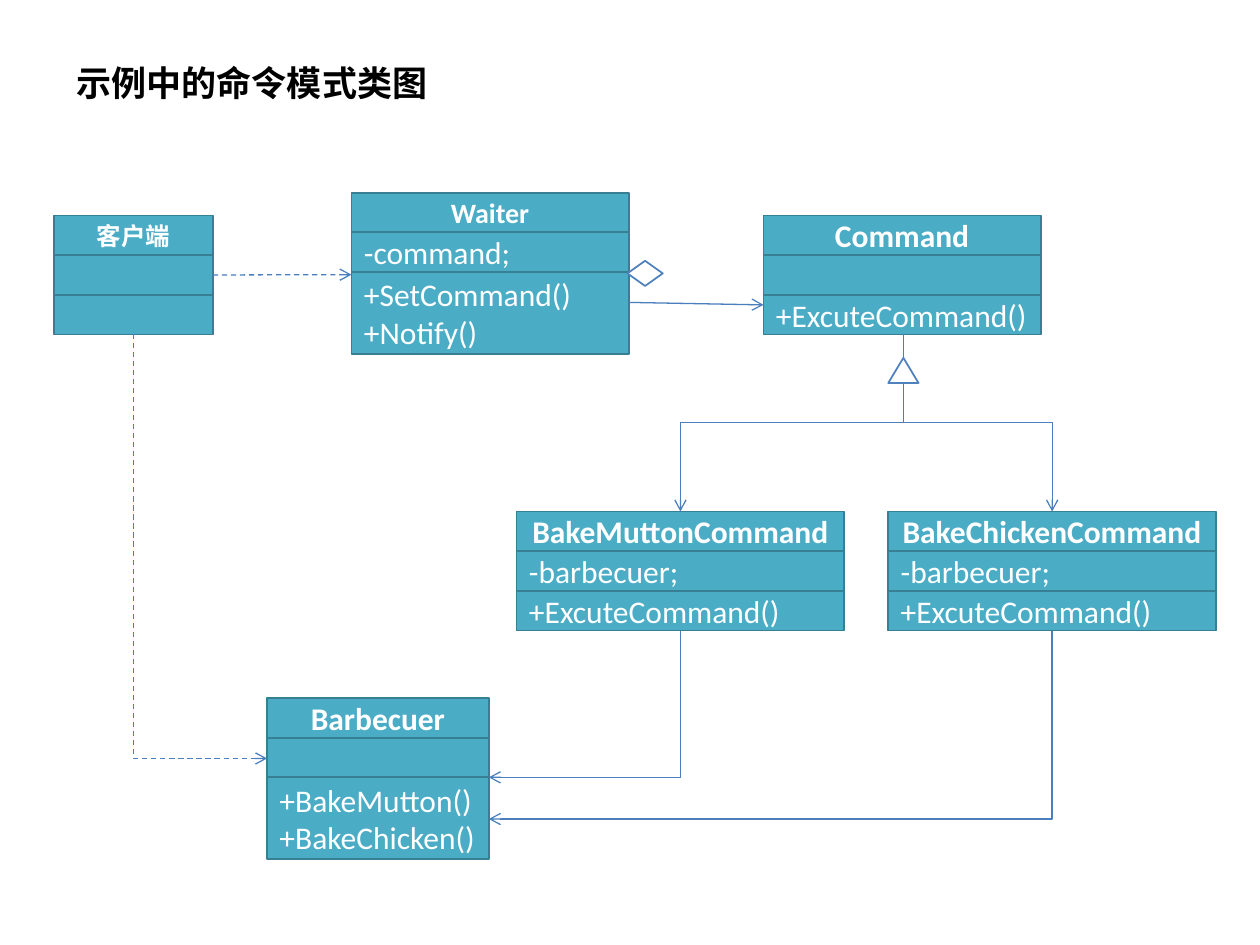
from lxml import etree
from pptx import Presentation
from pptx.dml.color import RGBColor
from pptx.enum.dml import MSO_LINE
from pptx.enum.shapes import MSO_CONNECTOR, MSO_SHAPE
from pptx.enum.text import MSO_ANCHOR, PP_ALIGN
from pptx.oxml.ns import qn
from pptx.util import Inches, Pt

ROW = 0.315  # height of a one-line compartment
TWO_LINES = 0.65
LINK = "4B7EBC"


def color(hex_string):
    return RGBColor.from_string(hex_string)


def paint(shape, fill, line):
    shape.shadow.inherit = False
    shape.fill.solid()
    shape.fill.fore_color.rgb = color(fill)
    shape.line.color.rgb = color(line)
    shape.line.width = Pt(1)


def add_title(slide, left, top, width, height, title):
    box = slide.shapes.add_textbox(Inches(left), Inches(top), Inches(width), Inches(height))
    box.text_frame.word_wrap = False
    box.text_frame.text = title
    font = box.text_frame.paragraphs[0].runs[0].font
    font.name = "Noto Sans CJK SC"
    font.size = Pt(20)
    font.bold = True
    font.color.rgb = color("000000")
    east_asian = etree.SubElement(font._element, qn("a:ea"))
    east_asian.set("typeface", "Noto Sans CJK SC")


def add_class(slide, left, top, width, name, field="", methods="", name_size=18):
    """Draw a class as three stacked compartments and return them."""
    group = slide.shapes.add_group_shape()
    methods_height = TWO_LINES if "\n" in methods else ROW
    compartments = []
    for text, height in ((name, ROW), (field, ROW), (methods, methods_height)):
        is_name = not compartments
        cell = group.shapes.add_shape(
            MSO_SHAPE.RECTANGLE, Inches(left), Inches(top), Inches(width), Inches(height))
        paint(cell, "4BACC6", "377F92")
        frame = cell.text_frame
        frame.word_wrap = True
        frame.vertical_anchor = MSO_ANCHOR.MIDDLE
        frame.text = text
        for paragraph in frame.paragraphs:
            paragraph.alignment = PP_ALIGN.CENTER if is_name else PP_ALIGN.LEFT
            for run in paragraph.runs:
                run.font.name = "Calibri"
                run.font.size = Pt(name_size if is_name else 18)
                run.font.bold = is_name
                run.font.color.rgb = color("FFFFFF")
        compartments.append(cell)
        top += height
    return compartments


def style_arrow(connector, dashed):
    connector.line.color.rgb = color(LINK)
    connector.line.width = Pt(0.75)
    if dashed:
        connector.line.dash_style = MSO_LINE.DASH
    properties = connector._element.spPr
    tail = etree.SubElement(properties.find(qn("a:ln")), qn("a:tailEnd"))
    tail.set("type", "arrow")
    etree.SubElement(properties, qn("a:effectLst"))


def add_arrow(slide, start, end, dashed=False):
    arrow = slide.shapes.add_connector(
        MSO_CONNECTOR.STRAIGHT, *(Inches(v) for v in (*start, *end)))
    style_arrow(arrow, dashed)
    return arrow


def add_elbow(slide, start, end, bends, dashed=False):
    """Draw an arrow that leaves downwards, with one or two bends."""
    (x1, y1), (x2, y2) = start, end
    center_x, center_y = (x1 + x2) / 2, (y1 + y2) / 2
    half_run, half_drop = abs(x2 - x1) / 2, (y2 - y1) / 2
    # The box is laid on its side, then turned about its centre
    elbow = slide.shapes.add_connector(
        MSO_CONNECTOR.ELBOW,
        Inches(center_x - half_drop), Inches(center_y - half_run),
        Inches(center_x + half_drop), Inches(center_y + half_run))
    properties = elbow._element.spPr
    properties.find(qn("a:prstGeom")).set("prst", f"bentConnector{bends + 1}")
    transform = properties.find(qn("a:xfrm"))
    to_right = x2 > x1
    transform.set("rot", str((270 if to_right else 90) * 60000))
    if to_right:
        transform.set("flipH", "1")
    style_arrow(elbow, dashed)


def add_marker(slide, kind, left, top, width, height):
    marker = slide.shapes.add_shape(
        kind, Inches(left), Inches(top), Inches(width), Inches(height))
    paint(marker, "FFFFFF", "4F81BD")


def add_class_diagram(slide, left, top):
    def at(x, y):
        return left + x, top + y

    # Classes
    client = add_class(slide, *at(0, 0.18), 1.26, "客户端", name_size=14)
    add_class(slide, *at(2.36, 0), 2.2, "Waiter", "-command;",
              "+SetCommand()\n+Notify()", name_size=16)
    add_class(slide, *at(5.63, 0.18), 2.2, "Command", methods="+ExcuteCommand()")
    for x, name in ((3.67, "BakeMuttonCommand"), (6.62, "BakeChickenCommand")):
        add_class(slide, *at(x, 2.53), 2.6, name, "-barbecuer;", "+ExcuteCommand()")
    add_class(slide, *at(1.69, 4.01), 1.76, "Barbecuer",
              methods="+BakeMutton()\n+BakeChicken()")

    # Client uses the waiter; the waiter holds commands
    uses = add_arrow(slide, at(1.26, 0.65), at(2.36, 0.65), dashed=True)
    uses.begin_connect(client[1], 3)
    add_arrow(slide, at(4.56, 0.87), at(5.63, 0.89))
    add_marker(slide, MSO_SHAPE.FLOWCHART_DECISION, *at(4.55, 0.54), 0.28, 0.2)

    # Command to its two kinds, and from these to the barbecuer
    for x, barbecuer_y in ((4.97, 4.64), (7.92, 4.97)):
        add_elbow(slide, at(6.74, 1.12), at(x, 2.53), bends=2)
        add_elbow(slide, at(x, 3.48), at(3.45, barbecuer_y), bends=1)
    add_marker(slide, MSO_SHAPE.ISOSCELES_TRIANGLE, *at(6.62, 1.31), 0.24, 0.2)

    # Client to barbecuer
    add_elbow(slide, at(0.63, 1.12), at(1.69, 4.49), bends=1, dashed=True)


def main():
    presentation = Presentation()
    presentation.slide_width = Inches(10)
    presentation.slide_height = Inches(7.5)
    slide = presentation.slides.add_slide(presentation.slide_layouts[6])
    add_title(slide, 0.51, 0.44, 3.02, 0.44, "示例中的命令模式类图")
    add_class_diagram(slide, 0.43, 1.53)
    presentation.save("out.pptx")


if __name__ == "__main__":
    main()
